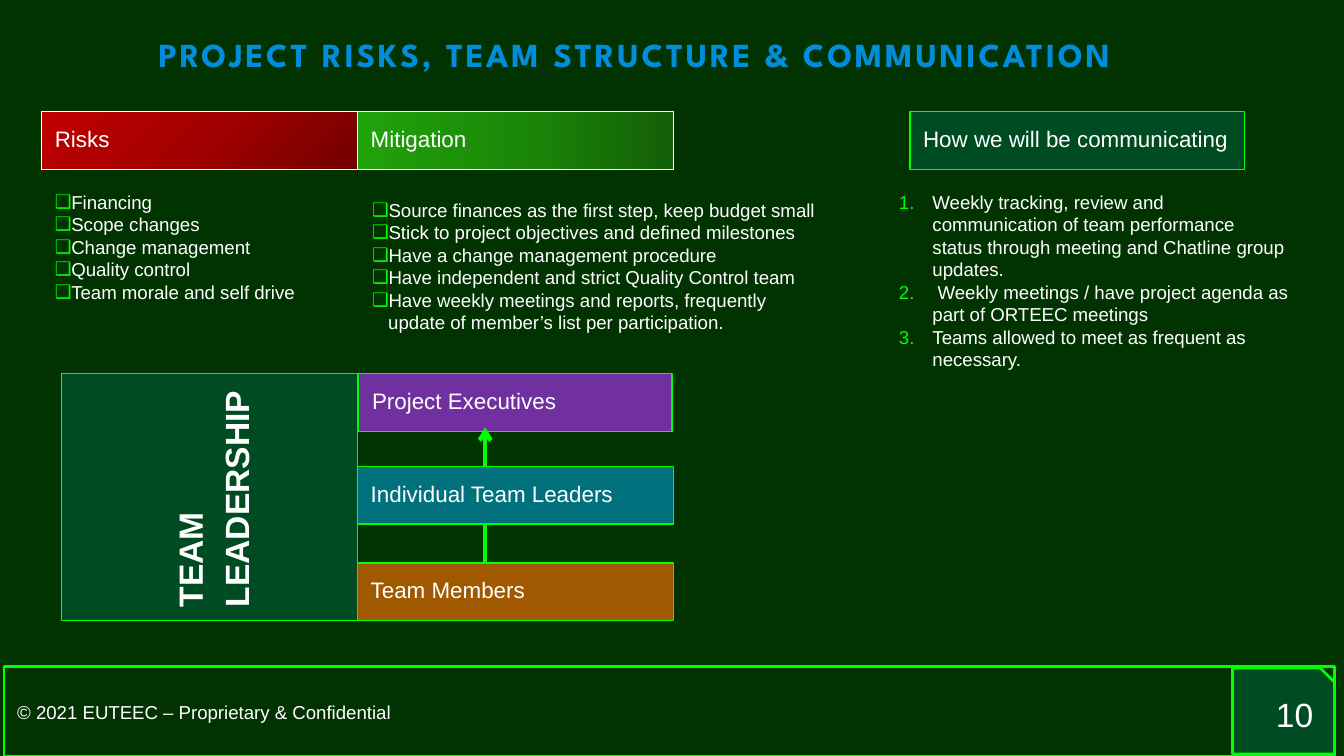
"""Build the slide on project risks, team structure and communication."""
from copy import deepcopy

from pptx import Presentation
from pptx.dml.color import RGBColor
from pptx.enum.shapes import MSO_CONNECTOR, MSO_SHAPE
from pptx.enum.text import MSO_ANCHOR as Anchor, MSO_AUTO_SIZE, PP_ALIGN as Align
from pptx.oxml.ns import qn
from pptx.util import Inches, Pt
from lxml.etree import SubElement

BACKGROUND = RGBColor(0x00, 0x33, 0x00)
WHITE = RGBColor(0xFF, 0xFF, 0xFF)
NEON = RGBColor(0x00, 0xFF, 0x00)
FOREST = RGBColor(0x00, 0x4C, 0x22)
PURPLE = RGBColor(0x70, 0x30, 0xA0)
TEAL = RGBColor(0x00, 0x71, 0x7D)
BROWN = RGBColor(0xA0, 0x59, 0x00)
REDS = [RGBColor(0x72, 0x00, 0x00), RGBColor(0xA2, 0x00, 0x00), RGBColor(0xC0, 0x00, 0x00)]
GREENS = [RGBColor(0x13, 0x60, 0x06), RGBColor(0x1B, 0x88, 0x09), RGBColor(0x20, 0xA2, 0x0A)]
TITLE_COLORS = [RGBColor(0x00, 0x8E, 0xDC), RGBColor(0xD3, 0x0F, 0x64)]

SLIDE_WIDTH = Inches(10)
SLIDE_HEIGHT = SLIDE_WIDTH * 9 // 16
RISK_X, COLUMN = 0.31, 2.35
MITIGATION_X = RISK_X + COLUMN
HEADER_Y, BAR = 0.83, 0.43
LEADERSHIP_X, TEAM_Y, TEAM_HEIGHT = 0.46, 2.78, 1.84

RISKS = ["Financing", "Scope changes", "Change management", "Quality control",
         "Team morale and self drive"]
MITIGATIONS = [
    "Source finances as the first step, keep budget small",
    "Stick to project objectives and defined milestones",
    "Have a change management procedure",
    "Have independent and strict Quality Control team",
    "Have weekly meetings and reports, frequently update of member’s list per participation.",
]
CHANNELS = [
    "Weekly tracking, review and communication of team performance status through "
    "meeting and Chatline group updates.",
    " Weekly meetings / have project agenda as part of ORTEEC meetings",
    "Teams allowed to meet as frequent as necessary.",
]
TEAM_LEVELS = [
    ("Project Executives", (MITIGATION_X + 0.01, TEAM_Y, 2.33, BAR), PURPLE),
    ("Individual Team Leaders", (MITIGATION_X, 3.47, COLUMN, BAR), TEAL),
    ("Team Members", (MITIGATION_X, 4.19, COLUMN, BAR), BROWN),
]


def set_all(target, values):
    """Set each attribute named in values."""
    for name, value in values.items():
        setattr(target, name, value)


def box_at(left, top, width, height):
    """Turn inches into the lengths of a frame."""
    return [Inches(length) for length in (left, top, width, height)]


def paint_gradient(fill, colors, angle):
    """Fill with evenly spaced colours along one angle."""
    fill.gradient()
    fill.gradient_angle = angle
    stop_list = fill._fill._gradFill.find(qn("a:gsLst"))
    for _ in colors[2:]:
        stop_list.insert(1, deepcopy(stop_list[0]))
    for index, (stop, color) in enumerate(zip(fill.gradient_stops, colors)):
        stop.color.rgb = color
        stop.position = index / (len(colors) - 1)


def write(frame, lines, size=12, bold=False, anchor=Anchor.TOP, align=Align.LEFT):
    """Write one white paragraph per line."""
    margins = ("margin_left", "margin_right", "margin_top", "margin_bottom")
    set_all(frame, dict.fromkeys(margins, Inches(0.1)))
    set_all(frame, {"word_wrap": True, "vertical_anchor": anchor})
    for index, line in enumerate(lines):
        paragraph = frame.add_paragraph() if index else frame.paragraphs[0]
        paragraph.alignment = align
        run = paragraph.add_run()
        run.text = line
        set_all(run.font, {"name": "Arial", "size": Pt(size), "bold": bold})
        run.font.color.rgb = WHITE


def add_panel(slide, frame, fill=None, line=NEON, weight=0.75, kind=MSO_SHAPE.RECTANGLE):
    """Add an outlined shape with a plain fill or none."""
    panel = slide.shapes.add_shape(kind, *box_at(*frame))
    panel.shadow.inherit = False
    panel.line.color.rgb = line
    panel.line.width = Pt(weight)
    if fill is None:
        panel.fill.background()
    else:
        panel.fill.solid()
        panel.fill.fore_color.rgb = fill
    return panel


def add_header(slide, label, frame, colors, angle):
    """Add a labelled gradient bar."""
    header = add_panel(slide, frame, line=WHITE)
    paint_gradient(header.fill, colors, angle)
    write(header.text_frame, [label])


def add_list(slide, frame, items, margin, hang, marker, **marker_values):
    """Add a text box whose items carry neon markers."""
    text_frame = slide.shapes.add_textbox(*box_at(*frame)).text_frame
    write(text_frame, items, size=10)
    for paragraph in text_frame.paragraphs:
        properties = paragraph._p.get_or_add_pPr()
        properties.set("marL", str(Inches(margin)))
        properties.set("indent", str(-Inches(hang)))
        marker_color = SubElement(properties, qn("a:buClr"))
        SubElement(marker_color, qn("a:srgbClr"), val=str(NEON))
        SubElement(properties, qn("a:buFont"), typeface="Arial")
        SubElement(properties, qn(marker), **marker_values)


def add_title(slide):
    """Place and format the slide title."""
    title = slide.shapes.title
    set_all(title, dict(zip(("left", "top", "width", "height"), box_at(1.11, 0.21, 7.56, 0.38))))
    frame = title.text_frame
    write(frame, ["PROJECT RISKS, TEAM STRUCTURE & COMMUNICATION"], size=18, bold=True)
    set_all(frame, {
        "margin_left": Inches(0.07), "margin_right": Inches(0.07),
        "margin_top": Inches(0.04), "margin_bottom": Inches(0.04),
        "word_wrap": False, "auto_size": MSO_AUTO_SIZE.SHAPE_TO_FIT_TEXT,
    })
    run = frame.paragraphs[0].runs[0]
    run.font.name = "League Spartan"
    paint_gradient(run.font.fill, TITLE_COLORS, 0)
    run._r.get_or_add_rPr().set("spc", "150")


def add_footer(slide):
    """Add the copyright bar and the page number."""
    bar = add_panel(slide, (0.03, 4.96, 9.9, 0.67), weight=1.5)
    write(bar.text_frame, ["© 2021 EUTEEC – Proprietary & Confidential"], 10, anchor=Anchor.MIDDLE)
    corner = add_panel(slide, (9.17, 4.97, 0.76, 0.64), FOREST, weight=1.5,
                       kind=MSO_SHAPE.SNIP_1_RECTANGLE)
    corner.adjustments[0] = 0.167
    number = slide.shapes.add_textbox(*box_at(9.27, 5.1, 0.6, 0.43))
    write(number.text_frame, ["10"], 18, anchor=Anchor.MIDDLE, align=Align.RIGHT)


def add_reporting_arrow(slide):
    """Add the arrow that rises through the team levels."""
    arrow = slide.shapes.add_connector(
        MSO_CONNECTOR.STRAIGHT, Inches(3.61), Inches(TEAM_Y + TEAM_HEIGHT), Inches(3.61), Inches(3.18))
    arrow.line.color.rgb = NEON
    arrow.line.width = Pt(2.25)
    SubElement(arrow.line._get_or_add_ln(), qn("a:tailEnd"), type="arrow")
    SubElement(arrow._element.spPr, qn("a:effectLst"))


def add_team(slide):
    """Add the leadership block, its levels and the arrow behind the lower ones."""
    block = add_panel(slide, (LEADERSHIP_X, TEAM_Y, MITIGATION_X - LEADERSHIP_X, TEAM_HEIGHT), FOREST)
    write(block.text_frame, ["TEAM LEADERSHIP"], 18, True, Anchor.MIDDLE)
    set_all(block.text_frame.paragraphs[0], {"line_spacing": 1.15, "space_after": Pt(16)})
    block.text_frame._txBody.bodyPr.set("vert", "vert270")
    for level, (label, frame, color) in enumerate(TEAM_LEVELS):
        write(add_panel(slide, frame, color).text_frame, [label])
        if level == 0:
            add_reporting_arrow(slide)


def main():
    """Build and save the slide."""
    deck = Presentation()
    set_all(deck, {"slide_width": SLIDE_WIDTH, "slide_height": SLIDE_HEIGHT})
    slide = deck.slides.add_slide(deck.slide_layouts[5])
    slide.background.fill.solid()
    slide.background.fill.fore_color.rgb = BACKGROUND
    add_title(slide)
    add_footer(slide)
    add_header(slide, "Risks", (RISK_X, HEADER_Y, COLUMN, BAR), REDS, 135)
    add_header(slide, "Mitigation", (MITIGATION_X, HEADER_Y, COLUMN, BAR), GREENS, 180)
    channel_header = add_panel(slide, (6.77, HEADER_Y, 2.49, BAR), FOREST)
    write(channel_header.text_frame, ["How we will be communicating"])
    add_list(slide, (RISK_X, 1.32, 2.23, 1.5), RISKS, 0.12, 0.19, "a:buChar", char="❑")
    add_list(slide, (MITIGATION_X + 0.01, 1.38, 3.49, 1.5), MITIGATIONS, 0.12, 0.19,
             "a:buChar", char="❑")
    add_list(slide, (6.59, 1.32, 7.2 * BAR, 1.5), CHANNELS, 0.25, 0.25,
             "a:buAutoNum", type="arabicPeriod")
    add_team(slide)
    deck.save("out.pptx")


if __name__ == "__main__":
    main()
